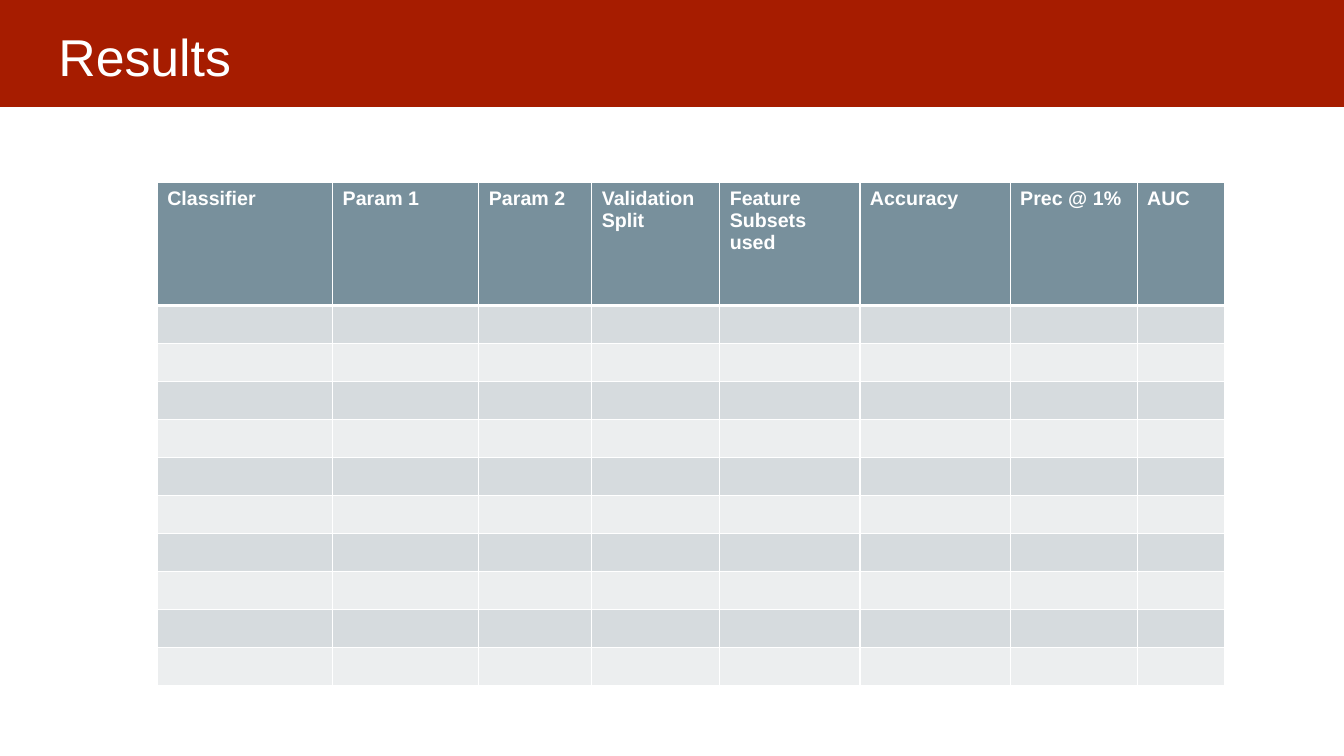
import pptx
import pptx.dml.color
import pptx.enum.shapes
import pptx.enum.text
import pptx.oxml
import pptx.oxml.ns
import pptx.util

RGB = pptx.dml.color.RGBColor
WHITE = RGB(0xFF, 0xFF, 0xFF)
RED = RGB(0xA6, 0x1C, 0x00)
SLATE = RGB(0x78, 0x90, 0x9C)
BANDS = (RGB(0xD6, 0xDB, 0xDE), RGB(0xEC, 0xEE, 0xEF))

# Column heads, with column widths in percent of the slide's width
HEADS = {
    "Classifier": 13.05,
    "Param 1": 10.88,
    "Param 2": 8.4,
    "Validation Split": 9.53,
    "Feature Subsets used": 10.43,
    "Accuracy": 11.18,
    "Prec @ 1%": 9.45,
    "AUC": 6.53,
}
# Row heights in percent of the slide's height
ROWS = [16.27] + [5.03] * 10


def write(frame, text, size=14, color=WHITE, bold=False, font="Arial"):
    """Put formatted text into a text frame."""
    frame.word_wrap = True
    run = frame.paragraphs[0].add_run()
    run.text = text
    run.font.name = font
    run.font.size = pptx.util.Pt(size)
    run.font.bold = bold
    run.font.color.rgb = color


def edge(cell, side, width, color=WHITE):
    """Draw one border of a table cell; side is L, R, T or B."""
    line = pptx.oxml.parse_xml(
        f'<a:ln{side} {pptx.oxml.ns.nsdecls("a")} w="{pptx.util.Pt(width)}">'
        f'<a:solidFill><a:srgbClr val="{color}"/></a:solidFill></a:ln{side}>'
    )
    cell._tc.get_or_add_tcPr().append(line)


class Page:
    """One slide and its style, measured in percent of the slide's size."""

    def __init__(self, deck):
        """Add a blank slide to the deck."""
        self.wide, self.high = deck.slide_width, deck.slide_height
        self.slide = deck.slides.add_slide(deck.slide_layouts[6])

    def across(self, share):
        """Turn a percent of the width into a length."""
        return round(self.wide * share / 100)

    def down(self, share):
        """Turn a percent of the height into a length."""
        return round(self.high * share / 100)

    def box(self, left, top, width, height):
        """Turn four shares into a position and size."""
        return (self.across(left), self.down(top),
                self.across(width), self.down(height))

    def band(self, *place, fill=RED):
        """Draw a plain filled rectangle."""
        kind = pptx.enum.shapes.MSO_SHAPE.RECTANGLE
        shape = self.slide.shapes.add_shape(kind, *self.box(*place))
        shape.shadow.inherit = False
        shape.fill.solid()
        shape.fill.fore_color.rgb = fill
        shape.line.fill.background()

    def title(self, text, *place):
        """Write the slide's title in the band."""
        frame = self.slide.shapes.add_textbox(*self.box(*place)).text_frame
        inset = pptx.util.Inches(0.13)
        frame.margin_left = frame.margin_right = frame.margin_top = inset
        frame.margin_bottom = pptx.util.Inches(0.03)
        frame.vertical_anchor = pptx.enum.text.MSO_ANCHOR.MIDDLE
        write(frame, text, size=37)

    def table(self, heads, rows, left, top):
        """Draw a banded table with a head row and empty body rows."""
        place = self.box(left, top, sum(heads.values()), sum(rows))
        grid = self.slide.shapes.add_table(len(rows), len(heads), *place).table
        for col, share in zip(grid.columns, heads.values()):
            col.width = self.across(share)
        for row, share in enumerate(rows):
            grid.rows[row].height = self.down(share)
            for cell, head in zip(grid.rows[row].cells, heads):
                for side in "LRTB":
                    thick = (row, side) in ((0, "B"), (1, "T"))
                    edge(cell, side, 3 if thick else 1)
                cell.fill.solid()
                if row == 0:
                    cell.fill.fore_color.rgb = SLATE
                    write(cell.text_frame, head, bold=True)
                else:
                    cell.fill.fore_color.rgb = BANDS[(row - 1) % 2]
                    cell.margin_top = cell.margin_bottom = 0


deck = pptx.Presentation()
deck.slide_width = pptx.util.Inches(13.33)
deck.slide_height = pptx.util.Inches(7.5)
page = Page(deck)
page.band(-0.15, -0.53, 100.23, 14.67)
page.title("Results", 3.38, 1.2, 93.17, 11.07)
page.table(HEADS, ROWS, 11.7, 24.13)
deck.save("out.pptx")
